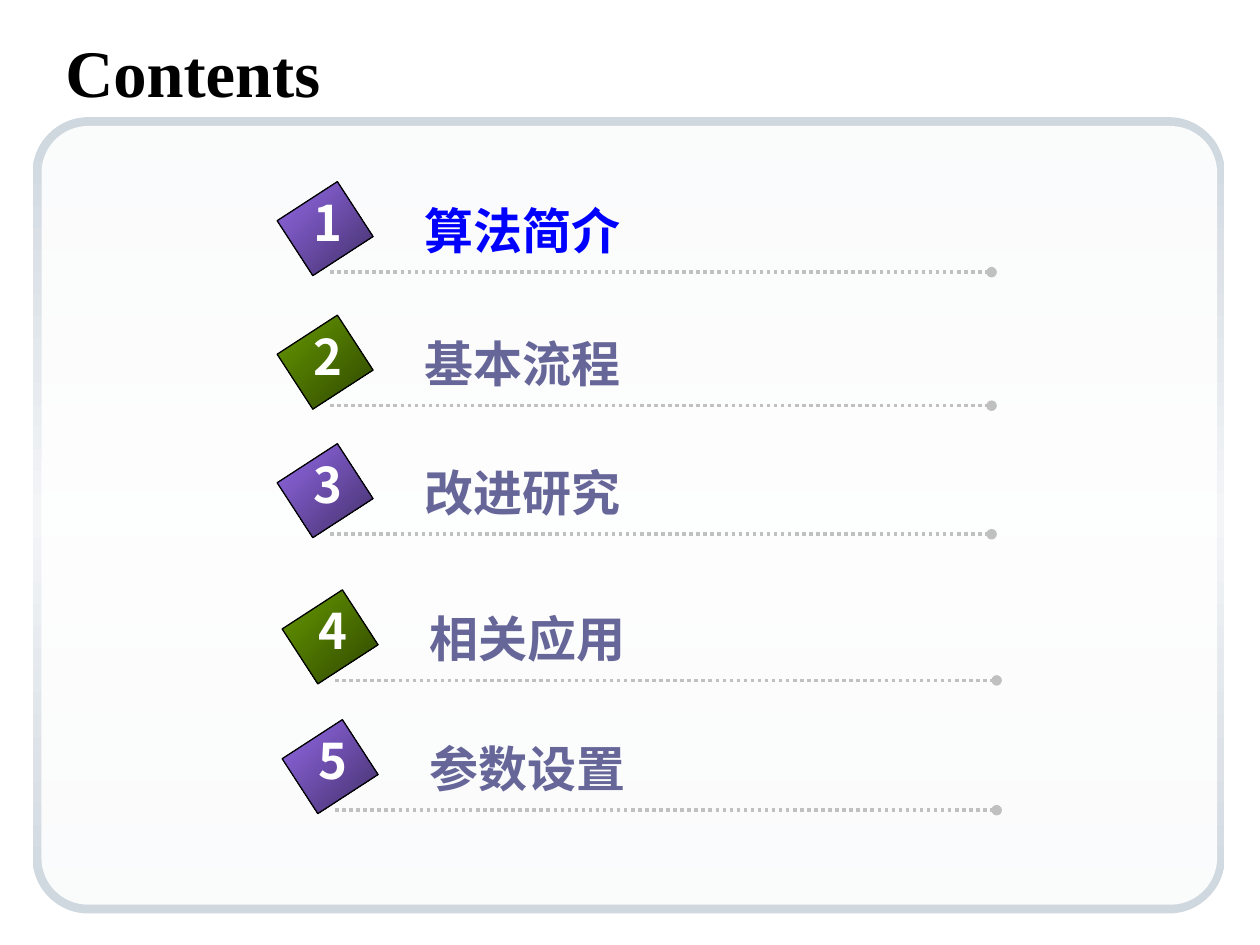
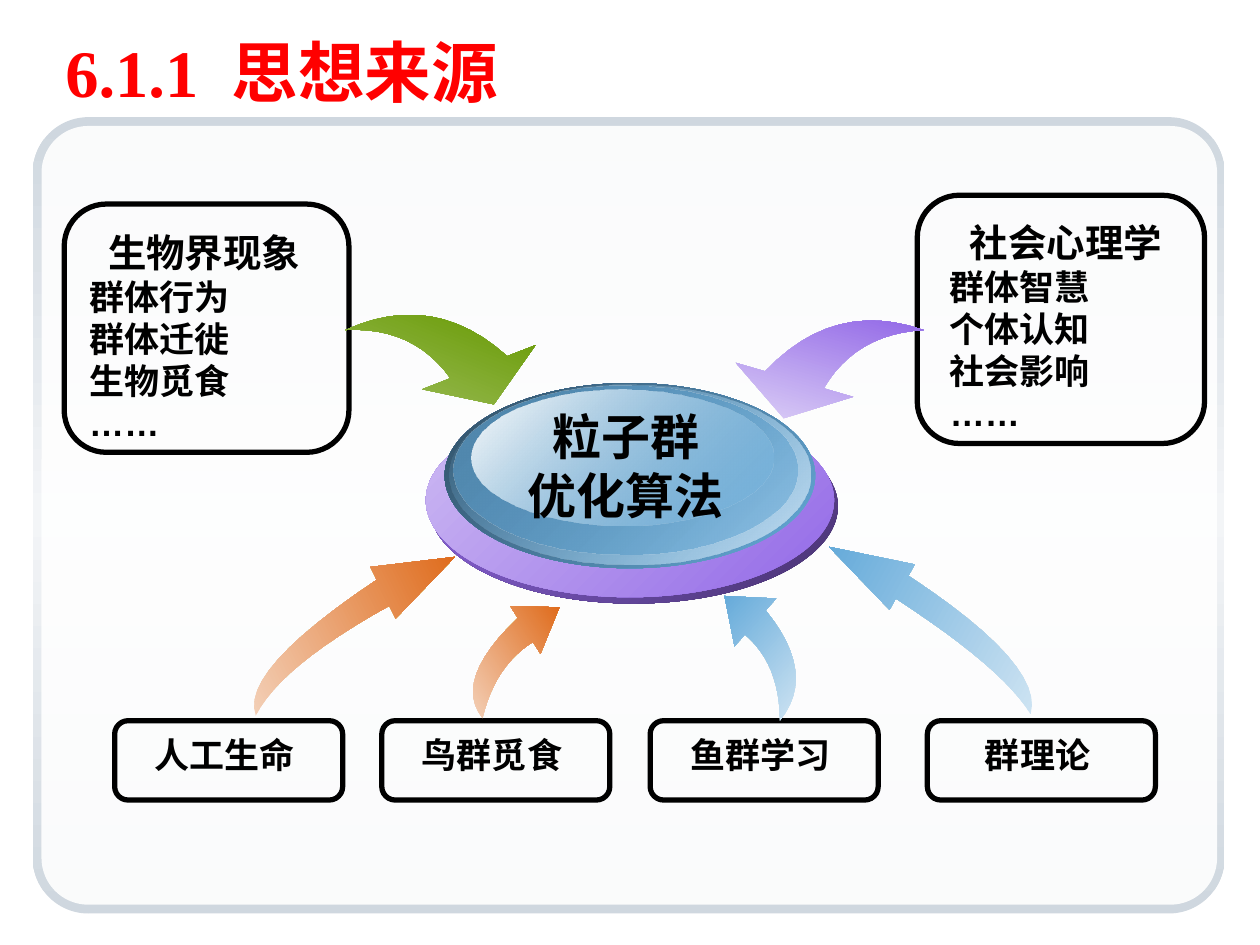
import pptx
import pptx.util
import pptx.dml.color
import pptx.enum.dml
import pptx.enum.shapes
import pptx.enum.text
import pptx.oxml.ns
import lxml.etree

RGB = pptx.dml.color.RGBColor.from_string
Inches = pptx.util.Inches
Pt = pptx.util.Pt
qn = pptx.oxml.ns.qn
SHAPE = pptx.enum.shapes.MSO_SHAPE
LEFT = pptx.enum.text.PP_ALIGN.LEFT
CENTER = pptx.enum.text.PP_ALIGN.CENTER

BLACK, WHITE, RED, BLUE = map(RGB, ("000000", "FFFFFF", "FF0000", "0000FF"))
SLATE, SILVER = RGB("666699"), RGB("C0C0C0")
FRAME, FRAME_MID = RGB("CFD7DF"), RGB("F3F5F7")
PURPLE, PURPLE_DARK, PURPLE_DEEP = RGB("9369E7"), RGB("43306A"), RGB("47326F")
LILAC, LILAC_PALE = RGB("CEBBF3"), RGB("DBCEF6")
GREEN, GREEN_DARK, GREEN_PALE = RGB("669900"), RGB("2F4600"), RGB("9DBD5C")
SKY, SKY_DARK, SKY_MID = RGB("66ABDA"), RGB("2F4E64"), RGB("5086AC")
SKY_PALE, SKY_LIGHT, PEARL = RGB("C8E0F1"), RGB("CDE3F2"), RGB("FEFEFE")
ORANGE, ORANGE_PALE = RGB("DF6C1D"), RGB("F3CFB6")

SANS, SERIF, LATIN = "Noto Sans CJK SC", "Times New Roman", "Arial"

CONTENTS = [
    ("算法简介", 2.62, 2.16),
    ("基本流程", 2.62, 3.22),
    ("改进研究", 2.62, 4.24),
    ("相关应用", 2.66, 5.4),
    ("参数设置", 2.66, 6.43),
]
BADGES = [(PURPLE, PURPLE_DARK), (GREEN, GREEN_DARK)]

SOURCES = [
    ("生物界现象", ["群体行为", "群体迁徙", "生物觅食", "……"],
     (0.51, 1.62, 2.26, 1.97), (0.61, 1.77, 2.02, 1.8)),
    ("社会心理学", ["群体智慧", "个体认知", "社会影响", "……"],
     (7.28, 1.55, 2.28, 1.97), (7.44, 1.69, 2.04, 1.8)),
]
TOPICS = [("人工生命", 0.91), ("鸟群觅食", 3.03), ("鱼群学习", 5.16), ("群理论", 7.36)]
CORE = ["粒子群", "优化算法"]

DISC = [
    ((3.41, 3.25, 3.24, 1.54), (PURPLE_DEEP, 100), (PURPLE, 100)),
    ((3.38, 3.2, 3.24, 1.54), (PURPLE, 100), (LILAC, 100)),
    ((3.53, 3.04, 2.94, 1.47), (SKY, 100), (SKY_DARK, 100)),
    ((3.57, 3.05, 2.86, 1.43), (SKY_PALE, 100), (SKY, 0)),
    ((3.6, 3.06, 2.73, 1.34), (SKY, 48), (SKY_MID, 100)),
    ((3.74, 3.09, 2.4, 1.08), (SKY, 38), (PEARL, 100)),
]

# Each arrow: colours, angle, then tail, outer bend, outer barb, tip, inner barb, inner bend.
ARROWS = [
    (GREEN_PALE, GREEN, 292,
     [(2.74, 2.62), (3.44, 2.3), (4.25, 2.74), (3.92, 3.21), (3.35, 3.09), (3.28, 2.59)]),
    (LILAC_PALE, PURPLE, 286,
     [(7.33, 2.62), (6.62, 2.37), (5.84, 2.88), (6.22, 3.32), (6.77, 3.15), (6.79, 2.65)]),
    (SKY_LIGHT, SKY, 209,
     [(8.18, 5.67), (8.29, 5.28), (7.26, 4.48), (6.58, 4.34), (7.06, 4.84), (7.97, 5.31)]),
    (SKY_LIGHT, SKY, 221,
     [(6.19, 5.72), (6.49, 5.35), (6.16, 4.75), (5.75, 4.73), (5.83, 5.13), (6.19, 5.27)]),
    (ORANGE_PALE, ORANGE, 327,
     [(3.83, 5.7), (3.59, 5.4), (4.05, 4.81), (4.44, 4.82), (4.29, 5.19), (3.93, 5.28)]),
    (ORANGE_PALE, ORANGE, 334,
     [(2.03, 5.68), (1.9, 5.33), (2.94, 4.5), (3.61, 4.42), (3.14, 4.91), (2.22, 5.29)]),
]
CURVE_STEPS = 12


def add_alpha(color, percent):
    if percent < 100:
        lxml.etree.SubElement(color, qn("a:alpha")).set("val", str(percent * 1000))


def set_gradient(sp, angle, *stops):
    sp.fill.gradient()
    grad = sp._element.spPr.find(qn("a:gradFill"))
    gs_list = grad.find(qn("a:gsLst"))
    for gs in list(gs_list):
        gs_list.remove(gs)
    for i, (color, opacity) in enumerate(stops):
        gs = lxml.etree.SubElement(gs_list, qn("a:gs"))
        gs.set("pos", str(i * 100000 // (len(stops) - 1)))
        clr = lxml.etree.SubElement(gs, qn("a:srgbClr"))
        clr.set("val", str(color))
        add_alpha(clr, opacity)
    grad.find(qn("a:lin")).set("ang", str(angle * 60000))


def add_shape(slide, kind, at, line=None, width=0, radius=None):
    sp = slide.shapes.add_shape(kind, *map(Inches, at))
    sp.shadow.inherit = False
    sp.fill.background()
    if radius is not None:
        sp.adjustments[0] = radius
    if line is None:
        sp.line.fill.background()
    else:
        sp.line.color.rgb = line
        sp.line.width = Pt(width)
    return sp


def add_run(p, text, size, font, color):
    r = p.add_run()
    r.text = text
    r.font.size, r.font.name, r.font.bold = Pt(size), font, True
    r.font.color.rgb = color
    lxml.etree.SubElement(r._r.rPr, qn("a:ea")).set("typeface", SANS)
    return r


def add_text(slide, at, lines, font=SANS, color=BLACK, wrap=True):
    tf = slide.shapes.add_textbox(*map(Inches, at)).text_frame
    tf.word_wrap = wrap
    for i, (text, size, align) in enumerate(lines):
        p = tf.add_paragraph() if i else tf.paragraphs[0]
        p.alignment = align
        add_run(p, text, size, font, color)
    return tf


def add_slide(prs, title, color):
    slide = prs.slides.add_slide(prs.slide_layouts[6])
    frame = add_shape(slide, SHAPE.ROUNDED_RECTANGLE, (0.26, 0.93, 9.46, 6.32), radius=0.07)
    set_gradient(frame, 90, (FRAME, 100), (FRAME_MID, 100), (FRAME, 100))
    panel = add_shape(slide, SHAPE.ROUNDED_RECTANGLE, (0.33, 1, 9.33, 6.18), radius=0.06)
    panel.fill.solid()
    panel.fill.fore_color.rgb = WHITE
    add_alpha(panel._element.spPr.find(qn("a:solidFill"))[0], 90)
    head, gap, tail = title.partition(" ")
    tf = add_text(slide, (0.42, 0.25, 9.33, 0.62), [(head, 38, LEFT)], SERIF, color)
    tf.vertical_anchor = pptx.enum.text.MSO_ANCHOR.MIDDLE
    if tail:
        space = add_run(tf.paragraphs[0], gap, 38, SERIF, color)
        space._r.rPr.set("spc", "950")
        add_run(tf.paragraphs[0], tail, 38, SERIF, color)
    return slide


def add_leader(slide, x, y):
    ln = slide.shapes.add_connector(pptx.enum.shapes.MSO_CONNECTOR.STRAIGHT,
                                    *map(Inches, (x, y, x + 5.25, y)))
    ln.line.color.rgb = SILVER
    ln.line.width = Pt(2)
    ln.line.dash_style = pptx.enum.dml.MSO_LINE.ROUND_DOT
    spPr = ln._element.spPr
    lxml.etree.SubElement(spPr.find(qn("a:ln")), qn("a:tailEnd")).set("type", "oval")
    lxml.etree.SubElement(spPr, qn("a:effectLst"))


def between(a, b, t):
    return tuple(u + (v - u) * t for u, v in zip(a, b))


def curve(start, bend, end):
    steps = [i / CURVE_STEPS for i in range(CURVE_STEPS + 1)]
    return [between(between(start, bend, t), between(bend, end, t), t) for t in steps]


def add_arrow(slide, start, end, angle, outline):
    tail, outer_bend, outer_barb, tip, inner_barb, inner_bend = outline
    outer_neck = between(outer_barb, inner_barb, 1 / 4)
    inner_neck = between(outer_barb, inner_barb, 3 / 4)
    points = curve(tail, outer_bend, outer_neck) + [outer_barb, tip, inner_barb]
    points += curve(inner_neck, inner_bend, tail)
    points = [tuple(map(Inches, point)) for point in points]
    builder = slide.shapes.build_freeform(*points[0])
    builder.add_line_segments(points[1:], close=True)
    sp = builder.convert_to_shape()
    sp.shadow.inherit = False
    sp.line.fill.background()
    set_gradient(sp, angle, (start, 100), (end, 100))


def build_contents(prs):
    slide = add_slide(prs, "Contents", BLACK)
    for i, (text, x, y) in enumerate(CONTENTS):
        add_leader(slide, x, y)
        light, dark = BADGES[i % 2]
        badge = add_shape(slide, SHAPE.RECTANGLE, (x - 0.3, y - 0.63, 0.52, 0.57), BLACK, 0.75)
        badge.rotation = 57
        set_gradient(badge, 348, (light, 100), (dark, 100))
        add_text(slide, (x + 0.65, y - 0.62, 1.84, 0.57), [(text, 28, LEFT)],
                 color=SLATE if i else BLUE, wrap=False)
        add_text(slide, (x - 0.23, y - 0.68, 0.42, 0.57), [(str(i + 1), 28, CENTER)],
                 color=WHITE, wrap=False)


def build_origins(prs):
    slide = add_slide(prs, "6.1.1 思想来源", RED)
    for (head, items, box, text_box), arrow in zip(SOURCES, ARROWS):
        add_shape(slide, SHAPE.ROUNDED_RECTANGLE, box, BLACK, 3, 0.17)
        lines = [(head, 22, CENTER)] + [(item, 20, LEFT) for item in items]
        add_text(slide, text_box, lines, LATIN)
        add_arrow(slide, *arrow)
    for at, start, end in DISC:
        set_gradient(add_shape(slide, SHAPE.OVAL, at), 225, start, end)
    add_text(slide, (4.07, 3.18, 1.79, 1.04), [(t, 28, CENTER) for t in CORE], wrap=False)
    for text, x in TOPICS:
        add_shape(slide, SHAPE.ROUNDED_RECTANGLE, (x, 5.72, 1.81, 0.63), BLACK, 3, 0.17)
        add_text(slide, (x + 0.07, 5.77, 1.61, 0.44), [(text, 20, CENTER)], LATIN)
    for arrow in ARROWS[len(SOURCES):]:
        add_arrow(slide, *arrow)


def main():
    prs = pptx.Presentation()
    prs.slide_width, prs.slide_height = Inches(10), Inches(7.5)
    build_contents(prs)
    build_origins(prs)
    prs.save("out.pptx")


if __name__ == "__main__":
    main()
